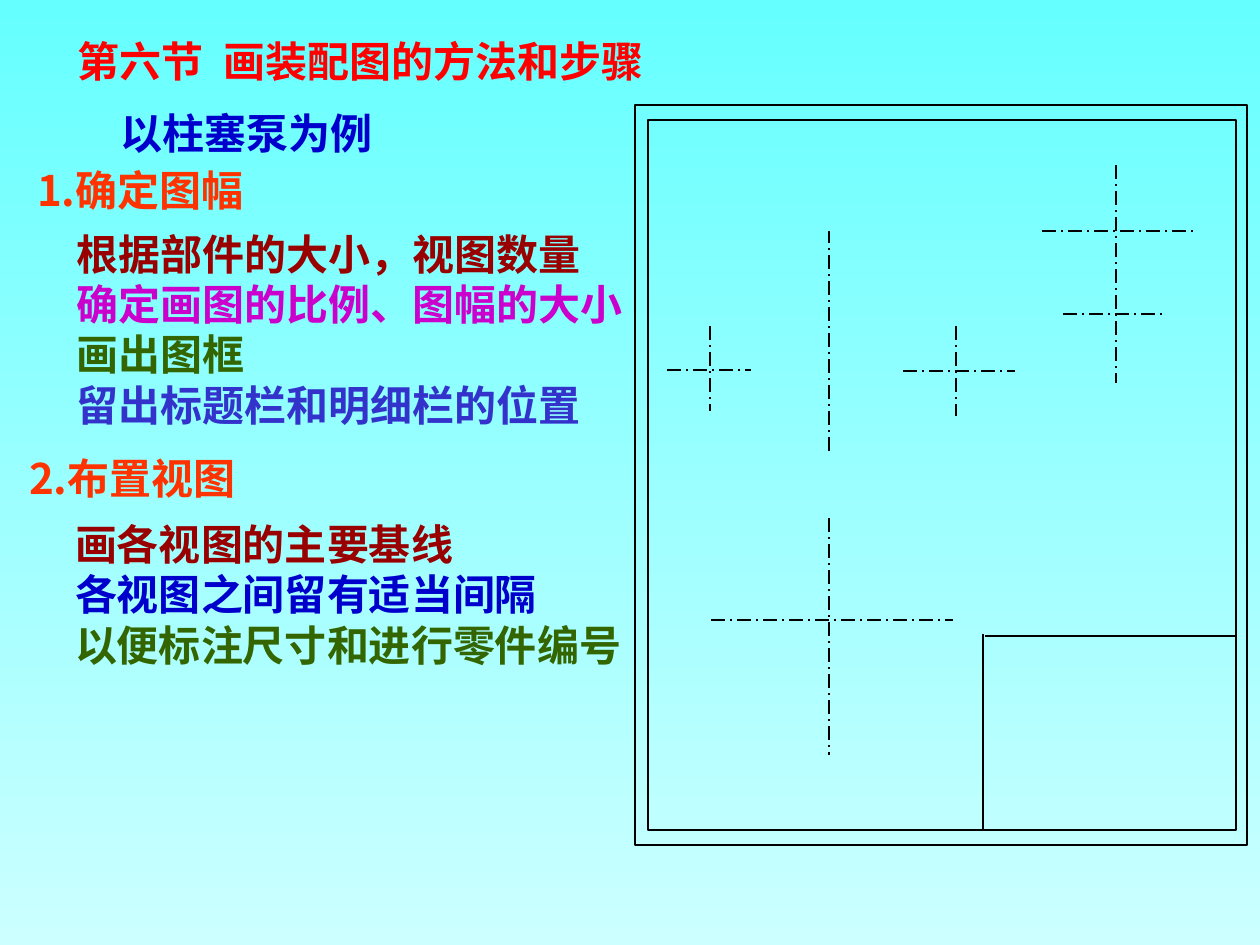
import pptx
import pptx.dml.color
import pptx.enum.dml
import pptx.enum.shapes
import pptx.enum.text
import pptx.oxml.ns
import pptx.oxml.xmlchemy
import pptx.util

RGBColor = pptx.dml.color.RGBColor
BLACK = RGBColor(0x00, 0x00, 0x00)
RED = RGBColor(0xFF, 0x00, 0x00)
ORANGE = RGBColor(0xFF, 0x33, 0x00)
MAROON = RGBColor(0x99, 0x00, 0x00)
MAGENTA = RGBColor(0xCC, 0x00, 0xCC)
GREEN = RGBColor(0x33, 0x66, 0x00)
BLUE = RGBColor(0x00, 0x00, 0xCC)
INDIGO = RGBColor(0x33, 0x33, 0xCC)
BACKGROUND = [RGBColor(0x66, 0xFF, 0xFF), RGBColor(0xCC, 0xFF, 0xFF)]

SCALE = 914400 / 126
SLIDE_SIZE = (1260, 945)
CHINESE_FONT = "Noto Sans CJK SC"
LATIN_FONT = "Times New Roman"
TOP = pptx.enum.text.MSO_ANCHOR.TOP
MIDDLE = pptx.enum.text.MSO_ANCHOR.MIDDLE

# left, top, width, height
SHEET_FRAMES = [(635, 105, 612, 740), (648, 120, 588, 710)]

# x1, y1, x2, y2
TITLE_BLOCK_EDGES = [(983, 829, 983, 634), (985, 636, 1237, 636)]
CENTRE_LINES = [
    (667, 370, 751, 370), (710, 326, 710, 411),
    (903, 371, 1015, 371), (956, 326, 956, 416),
    (829, 451, 829, 231),
    (1042, 231, 1198, 231), (1063, 314, 1164, 314), (1116, 165, 1116, 383),
    (711, 620, 953, 620), (829, 518, 829, 755),
]

# box, anchor, font, lines of (text, colour)
TEXTS = [
    ((65, 25, 752, 63), TOP, CHINESE_FONT, [("第六节  画装配图的方法和步骤", RED)]),
    ((108, 97, 359, 63), TOP, LATIN_FONT, [("以柱塞泵为例", BLUE)]),
    ((24, 154, 411, 63), TOP, CHINESE_FONT, [("1.确定图幅", ORANGE)]),
    ((64, 217, 670, 214), MIDDLE, CHINESE_FONT, [
        ("根据部件的大小，视图数量", MAROON),
        ("确定画图的比例、图幅的大小", MAGENTA),
        ("画出图框", GREEN),
        ("留出标题栏和明细栏的位置", INDIGO),
    ]),
    ((16, 442, 348, 63), TOP, CHINESE_FONT, [("2.布置视图", ORANGE)]),
    ((62, 507, 639, 164), MIDDLE, CHINESE_FONT, [
        ("画各视图的主要基线", MAROON),
        ("各视图之间留有适当间隔", BLUE),
        ("以便标注尺寸和进行零件编号", GREEN),
    ]),
]


def emu(*lengths):
    return [pptx.util.Emu(round(length * SCALE)) for length in lengths]


def set_attributes(target, values):
    for name, value in values.items():
        setattr(target, name, value)


def style_line(line):
    line.color.rgb = BLACK
    line.width = pptx.util.Pt(1)


def add_frame(slide, box):
    frame = slide.shapes.add_shape(
        pptx.enum.shapes.MSO_SHAPE.RECTANGLE, *emu(*box))
    frame.shadow.inherit = False
    frame.fill.background()
    style_line(frame.line)


def add_line(slide, ends, dash=None):
    connector = slide.shapes.add_connector(
        pptx.enum.shapes.MSO_CONNECTOR.STRAIGHT, *emu(*ends))
    style_line(connector.line)
    if dash is not None:
        connector.line.dash_style = dash
    connector._element.spPr.append(
        pptx.oxml.xmlchemy.OxmlElement("a:effectLst"))


def add_text(slide, box, anchor, font_name, lines):
    frame = slide.shapes.add_textbox(*emu(*box)).text_frame
    side, above, below = emu(13, 11, 1)
    set_attributes(frame, {
        "word_wrap": True, "vertical_anchor": anchor,
        "auto_size": pptx.enum.text.MSO_AUTO_SIZE.SHAPE_TO_FIT_TEXT,
        "margin_left": side, "margin_right": side,
        "margin_top": above, "margin_bottom": below,
    })
    for index, (text, colour) in enumerate(lines):
        paragraph = frame.add_paragraph() if index else frame.paragraphs[0]
        paragraph.line_spacing = pptx.util.Pt(28.8)
        run = paragraph.add_run()
        run.text = text
        run.font.color.rgb = colour
        set_attributes(run.font, {
            "size": pptx.util.Pt(24), "bold": True, "name": font_name})
        east_asian = pptx.oxml.xmlchemy.OxmlElement("a:ea")
        east_asian.set("typeface", CHINESE_FONT)
        run.font._element.find(pptx.oxml.ns.qn("a:latin")).addnext(east_asian)


def main():
    presentation = pptx.Presentation()
    presentation.slide_width, presentation.slide_height = emu(*SLIDE_SIZE)
    slide = presentation.slides.add_slide(presentation.slide_layouts[6])

    fill = slide.background.fill
    fill.gradient()
    fill.gradient_angle = 270
    for stop, colour in zip(fill.gradient_stops, BACKGROUND):
        stop.color.rgb = colour

    for box in SHEET_FRAMES:
        add_frame(slide, box)
    for ends in TITLE_BLOCK_EDGES:
        add_line(slide, ends)
    for ends in CENTRE_LINES:
        add_line(slide, ends, pptx.enum.dml.MSO_LINE.LONG_DASH_DOT)
    for text in TEXTS:
        add_text(slide, *text)

    presentation.save("out.pptx")


if __name__ == "__main__":
    main()
